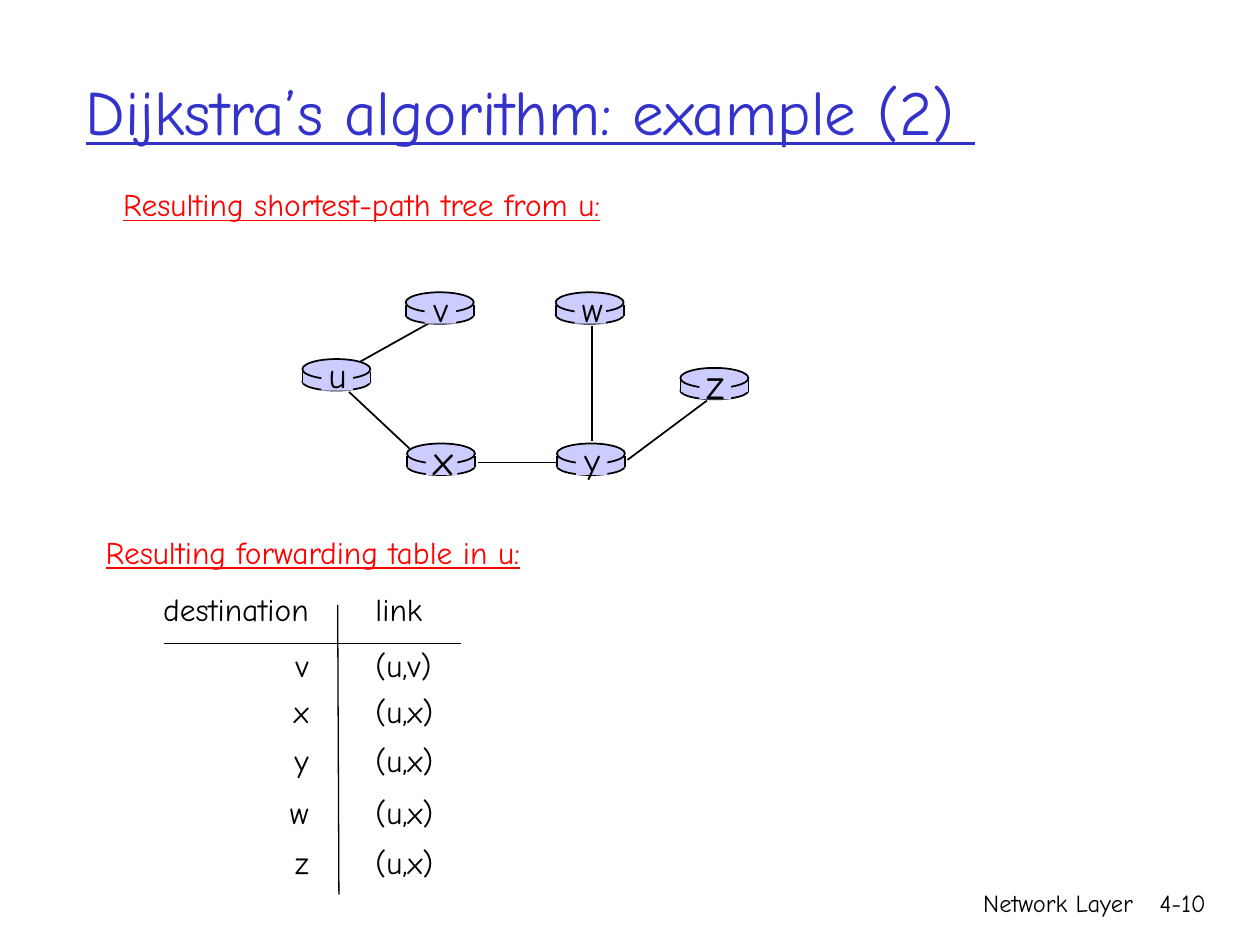
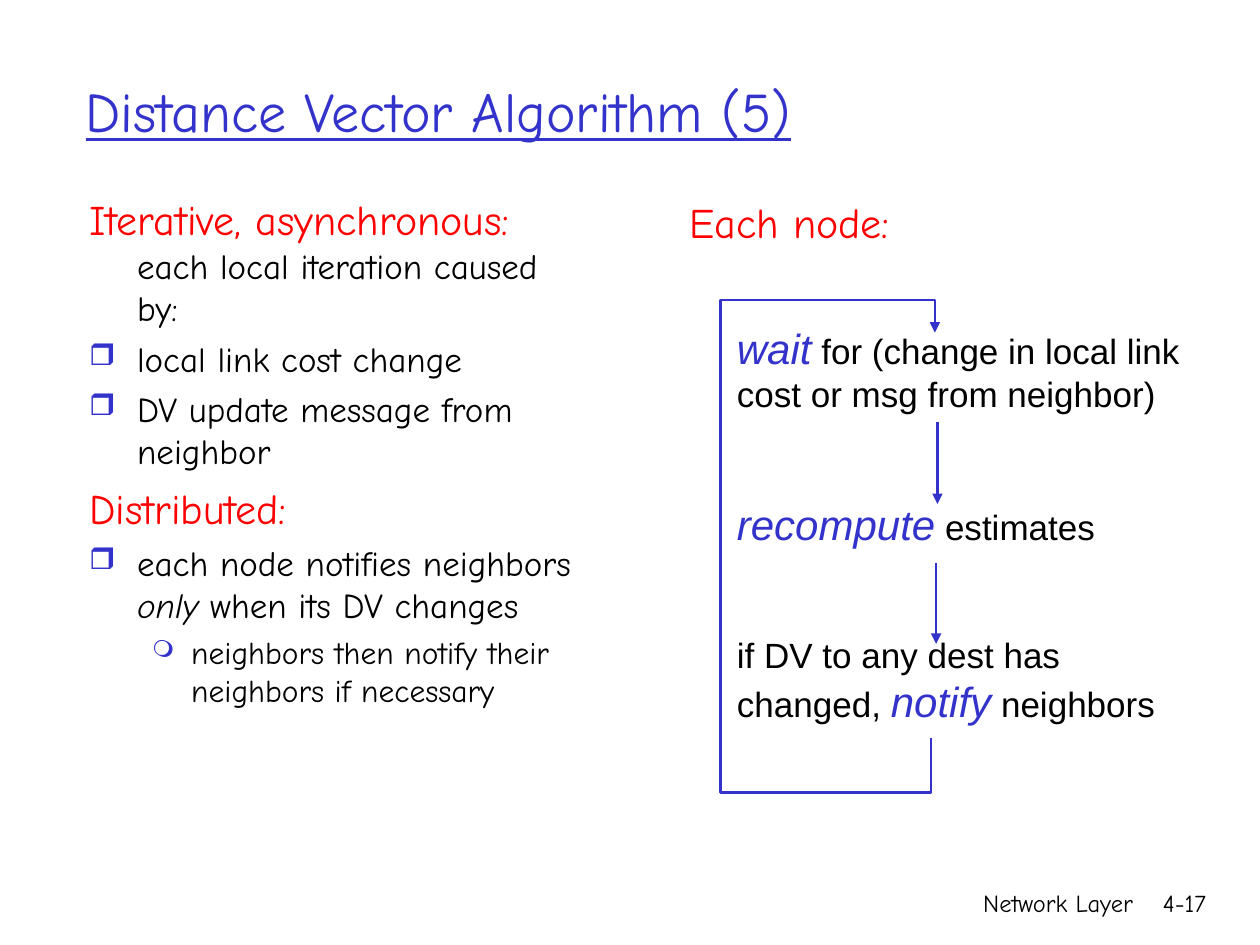
from lxml.etree import SubElement
from pptx import Presentation
from pptx.dml.color import RGBColor
from pptx.enum.shapes import MSO_CONNECTOR, MSO_SHAPE
from pptx.enum.text import MSO_ANCHOR, MSO_AUTO_SIZE, PP_ALIGN
from pptx.oxml.ns import qn
from pptx.util import Pt

PX = 9144  # EMU per px, 100 px to the inch
BLUE = RGBColor(0x33, 0x33, 0xCC)
RED = RGBColor(0xFF, 0x00, 0x00)
BLACK = RGBColor(0x00, 0x00, 0x00)
LILAC = RGBColor(0xCC, 0xCC, 0xFF)
FONT = "Comic Neue"


def add_text(s, box, text, size, color=BLACK, align=PP_ALIGN.LEFT, wrap=False, underline=False):
    tf = s.shapes.add_textbox(*[v * PX for v in box]).text_frame
    tf.word_wrap = wrap
    tf.text = text
    p = tf.paragraphs[0]
    p.alignment = align
    for r in p.runs:
        r.font.name, r.font.size, r.font.underline = FONT, Pt(size), underline
        r.font.color.rgb = color
    return tf


def add_line(s, ends, color, width, arrow=False):
    c = s.shapes.add_connector(MSO_CONNECTOR.STRAIGHT, *[v * PX for v in ends])
    c.line.color.rgb = color
    c.line.width = Pt(width)
    if arrow:
        SubElement(c.line._get_or_add_ln(), qn("a:tailEnd"), type="triangle")
    SubElement(c._element.spPr, qn("a:effectLst"))


prs = Presentation()
prs.slide_width, prs.slide_height = 1000 * PX, 750 * PX

# Titles and footers
slides = []
for title, size, number in [
    ("Dijkstra’s algorithm: example (2) ", 36, "4-10"),
    ("Distance Vector Algorithm (5)", 32, "4-17"),
]:
    s = prs.slides.add_slide(prs.slide_layouts[5])
    slides.append(s)
    add_text(s, (592, 700, 317, 50), "Network Layer", 14, align=PP_ALIGN.RIGHT, wrap=True)
    add_text(s, (893, 700, 74, 50), number, 14, align=PP_ALIGN.RIGHT, wrap=True)
    sp = s.shapes.title
    sp.left, sp.top, sp.width, sp.height = 58 * PX, 25 * PX, 850 * PX, 125 * PX
    tf = sp.text_frame
    tf.text = title
    tf.auto_size = MSO_AUTO_SIZE.NONE
    tf.vertical_anchor = MSO_ANCHOR.MIDDLE
    p = tf.paragraphs[0]
    p.alignment = PP_ALIGN.LEFT
    r = p.runs[0]
    r.font.name, r.font.size, r.font.underline = FONT, Pt(size), True
    r.font.color.rgb = BLUE

# Slide 1: shortest-path tree
s = slides[0]
add_text(s, (88, 142, 400, 40), "Resulting shortest-path tree from u:", 18, RED, underline=True)

links = [
    (286, 287, 345, 254),  # u-v
    (325, 356, 277, 311),  # x-u
    (443, 367, 379, 367),  # y-x
    (470, 259, 470, 350),  # w-y
    (498, 365, 561, 318),  # y-z
]
for ends in links:
    add_line(s, ends, BLACK, 1)

routers = [
    ("u", 240, 285, 20), ("x", 323, 352, 24), ("v", 322, 232, 20),
    ("w", 441, 232, 20), ("y", 442, 352, 20), ("z", 540, 292, 24),
]
for name, x, y, size in routers:
    parts = [  # base, side wall, lid, patch behind the letter
        (MSO_SHAPE.OVAL, x, y + 11, 54, 14, True),
        (MSO_SHAPE.RECTANGLE, x, y + 10, 54, 9, False),
        (MSO_SHAPE.OVAL, x, y, 54, 16, True),
        (MSO_SHAPE.RECTANGLE, x + 15, y + 2, 25, 23, False),
    ]
    for kind, left, top, w, h, outlined in parts:
        sp = s.shapes.add_shape(kind, left * PX, top * PX, w * PX, h * PX)
        sp.shadow.inherit = False
        sp.fill.solid()
        sp.fill.fore_color.rgb = LILAC
        if outlined:
            sp.line.color.rgb = BLACK
            sp.line.width = Pt(1)
        else:
            sp.line.fill.background()
    for edge in (x, x + 54):
        add_line(s, (edge, y + 10, edge, y + 19), BLACK, 1)
    h = 44 if size == 20 else 52
    add_text(s, (x + 11, y + 13 - h // 2, 34, h), name, size, align=PP_ALIGN.CENTER)

# Slide 1: forwarding table
add_text(s, (74, 418, 351, 40), "Resulting forwarding table in u:", 18, RED, underline=True)

rows = [
    ("destination", "link"), ("v", "(u,v)"), ("x", "(u,x)"),
    ("y", "(u,x)"), ("w", "(u,x)"), ("z", "(u,x)"),
]
heights = [52, 37, 36, 42, 40, 40]
tbl = s.shapes.add_table(6, 2, 110 * PX, 459 * PX, 256 * PX, sum(heights) * PX).table
tbl.first_row = tbl.horz_banding = False
tbl.columns[0].width, tbl.columns[1].width = 158 * PX, 98 * PX
for i, row in enumerate(rows):
    tbl.rows[i].height = heights[i] * PX
    for j, text in enumerate(row):
        cell = tbl.cell(i, j)
        cell.fill.background()
        cell.vertical_anchor = MSO_ANCHOR.MIDDLE
        cell.margin_top = cell.margin_bottom = 0
        cell.margin_left, cell.margin_right = (0, 23 * PX) if j == 0 else (30 * PX, 0)
        cell.text = text
        p = cell.text_frame.paragraphs[0]
        p.alignment = PP_ALIGN.RIGHT if j == 0 else PP_ALIGN.LEFT
        r = p.runs[0]
        r.font.name, r.font.size = FONT, Pt(18)
        r.font.color.rgb = BLACK
add_line(s, (268, 480, 269, 710), BLACK, 0.75)
add_line(s, (130, 511, 366, 511), BLACK, 0.75)

# Slide 2: paragraphs as (bullet, indent, hanging, space before, runs)
s = slides[1]
notes = [
    (None, 38, 38, 5, [("Iterative, asynchronous: ", 24, RED, False),
                       ("each local iteration caused by:", 20, BLACK, False)]),
    ("❒", 38, 38, 5, [("local link cost change", 20, BLACK, False)]),
    ("❒", 38, 38, 5, [("DV update message from neighbor", 20, BLACK, False)]),
    (None, 38, 38, 6, [("Distributed:", 24, RED, False)]),
    ("❒", 38, 38, 5, [("each node notifies neighbors ", 20, BLACK, False),
                      ("only", 20, BLACK, True),
                      (" when its DV changes", 20, BLACK, False)]),
    ("❍", 81, 31, 4.5, [("neighbors then notify their neighbors if necessary", 18, BLACK, False)]),
]
steps = [
    (None, 0, 0, 0, [("wait", 24, BLUE, True),
                     (" for (change in local link cost or msg from neighbor)", 20, BLACK, False)]),
    (None, 0, 0, 48, [("recompute", 24, BLUE, True), (" estimates", 20, BLACK, False)]),
    (None, 0, 0, 48, [("if DV to any dest has changed, ", 20, BLACK, False),
                      ("notify", 24, BLUE, True), (" neighbors", 20, BLACK, False)]),
]
for box, font, paragraphs in [
    ((61, 149, 414, 508), FONT, notes),
    ((575, 251, 385, 383), "Arial", steps),
]:
    tf = add_text(s, box, "", 20, wrap=True)
    for i, (bullet, indent, hanging, before, runs) in enumerate(paragraphs):
        p = tf.paragraphs[0] if i == 0 else tf.add_paragraph()
        p.space_before = Pt(before)
        pPr = p._p.get_or_add_pPr()
        pPr.set("marL", str(indent * PX))
        pPr.set("indent", str(-hanging * PX))
        if bullet:
            percent = 85 if bullet == "❒" else 75
            SubElement(SubElement(pPr, qn("a:buClr")), qn("a:srgbClr"), val=str(BLUE))
            SubElement(pPr, qn("a:buSzPct"), val=str(percent * 1000))
            SubElement(pPr, qn("a:buChar"), char=bullet)
        for text, size, color, italic in runs:
            r = p.add_run()
            r.text = text
            r.font.name, r.font.size, r.font.italic = font, Pt(size), italic
            r.font.color.rgb = color

# Slide 2: loop around the steps
add_line(s, (744, 335, 744, 400), BLUE, 1.5, arrow=True)
add_line(s, (743, 447, 743, 511), BLUE, 1.5, arrow=True)
fb = s.shapes.build_freeform(739, 586, scale=PX)
fb.add_line_segments([(739, 629), (572, 629), (572, 238), (742, 238), (742, 264)], close=False)
sp = fb.convert_to_shape()
sp.shadow.inherit = False
sp.fill.background()
sp.line.color.rgb = BLUE
sp.line.width = Pt(1.5)
SubElement(sp.line._get_or_add_ln(), qn("a:tailEnd"), type="triangle")
add_text(s, (537, 151, 179, 50), "Each node:", 24, RED, align=PP_ALIGN.CENTER)

prs.save("out.pptx")
